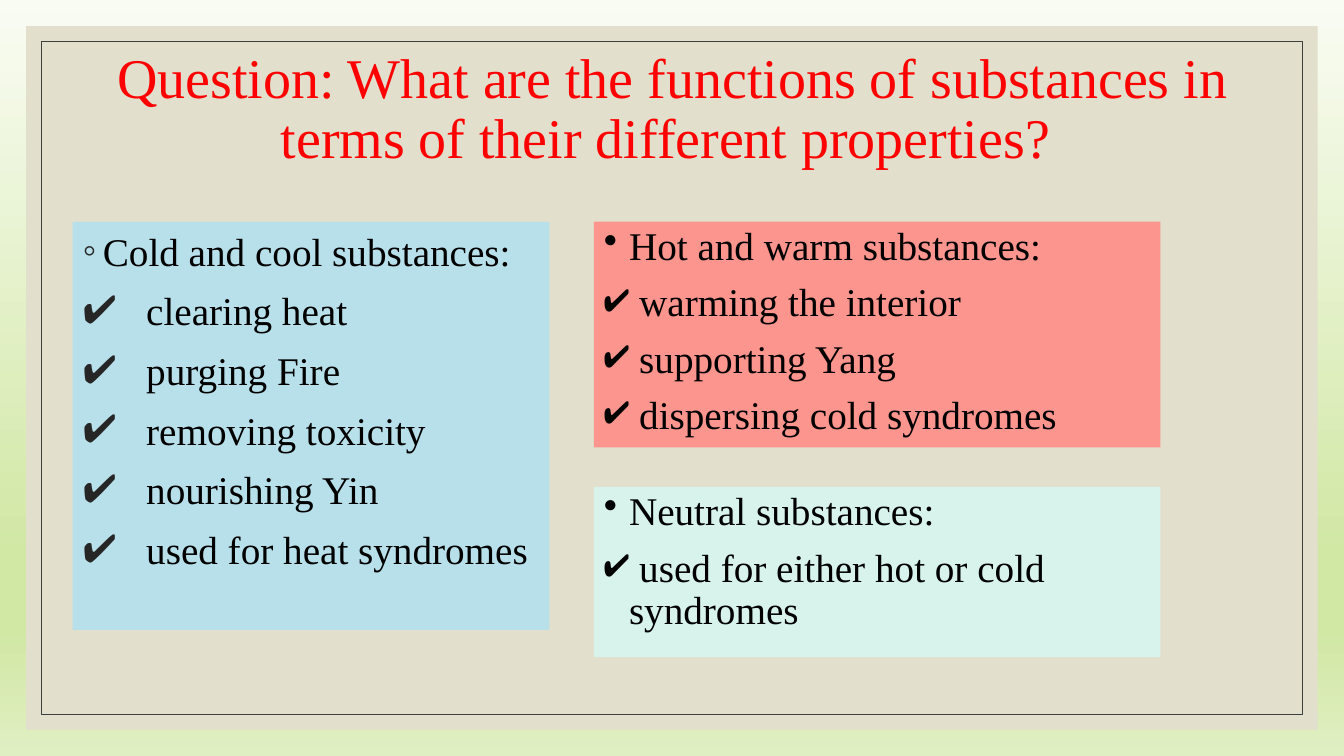
import pptx
import pptx.util
import pptx.dml.color
import pptx.enum.shapes
import pptx.enum.text
import pptx.oxml
import pptx.oxml.ns

# Content
WIDE, HIGH = 13.33, 7.5
FONT = "Times New Roman"
TITLE = "Question: What are the functions of substances in terms of their different properties? "
COLD = ["Cold and cool substances:", "clearing heat", "purging Fire",
        "removing toxicity", "nourishing Yin", "used for heat syndromes"]
HOT = ["Hot and warm substances:", " warming the interior",
       " supporting Yang", " dispersing cold syndromes"]
MILD = ["Neutral substances:", " used for either hot or cold syndromes"]
STOPS = [(0, "F9FCF3"), (74, "D1E7A4"), (83, "D1E7A4"), (100, "E0EFC2")]

# Grid: left and width of columns, shared top of the cards
LEFT, RIGHT = (0.72, 4.73), (5.89, 5.62)
TOP, GAP = 2.2, 0.39
HOT_H, MILD_H = 2.24, 1.69

# Style of each list: first bullet, indents of head and items, spacing
ROUND = dict(mark="◦", tint="262626", head=0.2, item=0.63, line=1.0, gap=9)
DOT = dict(mark="•", tint="000000", head=0.25, item=0.25, line=0.9, gap=10)


def color(code):
    return pptx.dml.color.RGBColor.from_string(code)


def place(shape, left, top, width, height):
    shape.left, shape.top, shape.width, shape.height = (
        pptx.util.Inches(n) for n in (left, top, width, height))


def paint(shape, code):
    shape.fill.solid()
    shape.fill.fore_color.rgb = color(code)


def add_rect(slide, box, fill=None, line=None):
    shape = slide.shapes.add_shape(pptx.enum.shapes.MSO_SHAPE.RECTANGLE,
                                   *(pptx.util.Inches(n) for n in box))
    shape.shadow.inherit = False
    if fill:
        paint(shape, fill)
    else:
        shape.fill.background()
    if line:
        shape.line.color.rgb = color(line)
        shape.line.width = pptx.util.Pt(0.75)
    else:
        shape.line.fill.background()
    return shape


def style(para, size, code):
    for run in para.runs:
        run.font.name = FONT
        run.font.size = pptx.util.Pt(size)
        run.font.color.rgb = color(code)


def add_bullet(para, mark, tint, indent):
    props = para._p.get_or_add_pPr()
    inch = int(pptx.util.Inches(indent))
    props.set("marL", str(inch))
    props.set("indent", str(-inch))
    space = pptx.oxml.ns.nsdecls("a")
    for xml in (f'<a:buClr {space}><a:srgbClr val="{tint}"/></a:buClr>',
                f'<a:buChar {space} char="{mark}"/>'):
        props.append(pptx.oxml.parse_xml(xml))


def write_list(shape, lines, mark, tint, head, item, line, gap):
    frame = shape.text_frame
    frame.word_wrap = True
    frame.auto_size = pptx.enum.text.MSO_AUTO_SIZE.NONE
    frame.vertical_anchor = pptx.enum.text.MSO_ANCHOR.TOP
    frame.text = "\n".join(lines)
    for row, para in enumerate(frame.paragraphs):
        add_bullet(para, "✔" if row else mark, tint, item if row else head)
        para.alignment = pptx.enum.text.PP_ALIGN.LEFT
        para.line_spacing = line
        para.space_before = pptx.util.Pt(gap if row else 0)
        style(para, 28, "000000")


def fill_back(slide):
    back = slide.background
    back.fill.gradient()
    back.fill.gradient_angle = 270
    stops = next(back.element.iter(pptx.oxml.ns.qn("a:gsLst")))
    for old in list(stops):
        stops.remove(old)
    for share, code in STOPS:
        stops.append(pptx.oxml.parse_xml(
            f'<a:gs {pptx.oxml.ns.nsdecls("a")} pos="{share * 1000}">'
            f'<a:srgbClr val="{code}"/></a:gs>'))


def main():
    deck = pptx.Presentation()
    deck.slide_width = pptx.util.Inches(WIDE)
    deck.slide_height = pptx.util.Inches(HIGH)
    slide = deck.slides.add_slide(deck.slide_layouts[1])
    title, body = slide.shapes.title, slide.placeholders[1]

    # Backdrop: panel and thin frame, behind the text
    fill_back(slide)
    for edge, fill, line in ((0.26, "E2DFCC", None), (0.41, None, "3F3F3F")):
        box = (edge, edge, WIDE - 2 * edge, HIGH - 2 * edge)
        title.element.addprevious(add_rect(slide, box, fill, line).element)

    # Title
    place(title, 0.92, 0.37, 11.5, 1.45)
    frame = title.text_frame
    frame.text = TITLE
    frame.word_wrap = True
    frame.auto_size = pptx.enum.text.MSO_AUTO_SIZE.NONE
    frame.vertical_anchor = pptx.enum.text.MSO_ANCHOR.MIDDLE
    para = frame.paragraphs[0]
    para.alignment = pptx.enum.text.PP_ALIGN.CENTER
    para.line_spacing = 0.9
    style(para, 40, "FF0000")

    # Cold list on the left
    place(body, LEFT[0], TOP, LEFT[1], 4.05)
    paint(body, "B7E0EB")
    write_list(body, COLD, **ROUND)

    # Hot and neutral cards stacked on the right
    top = TOP
    for lines, high, fill in ((HOT, HOT_H, "FB958D"), (MILD, MILD_H, "D7F3EC")):
        card = add_rect(slide, (RIGHT[0], top, RIGHT[1], high), fill)
        write_list(card, lines, **DOT)
        top += high + GAP

    deck.save("out.pptx")


if __name__ == "__main__":
    main()
